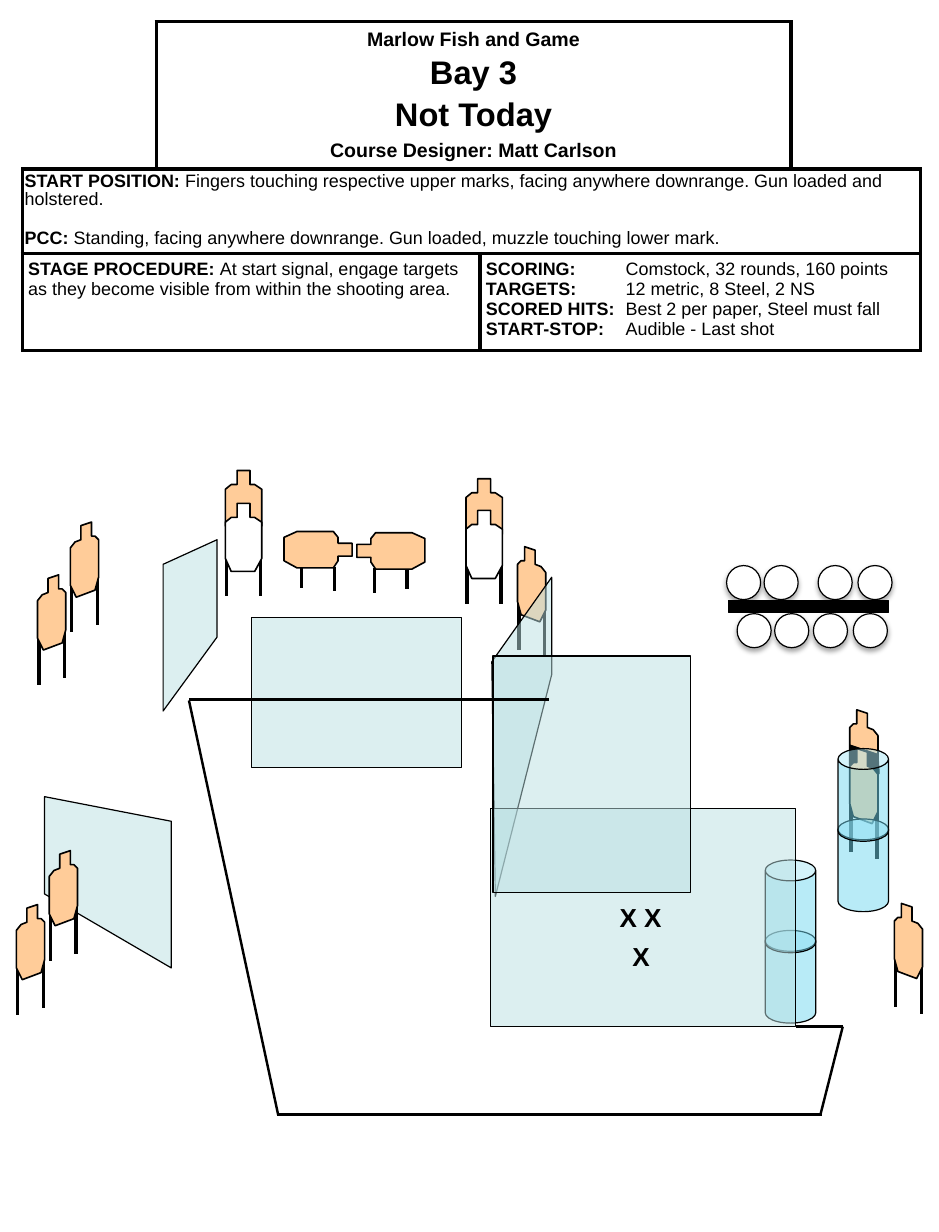
"""Build a one-page shooting stage sheet: header table above a floor plan."""
from lxml import etree
from pptx import Presentation
from pptx.dml.color import RGBColor
from pptx.enum.shapes import MSO_CONNECTOR, MSO_SHAPE
from pptx.enum.text import MSO_ANCHOR, PP_ALIGN
from pptx.oxml.ns import qn
from pptx.util import Inches, Pt

STRAIGHT = MSO_CONNECTOR.STRAIGHT
RECTANGLE, CAN, OVAL = MSO_SHAPE.RECTANGLE, MSO_SHAPE.CAN, MSO_SHAPE.OVAL
MIDDLE, TOP = MSO_ANCHOR.MIDDLE, MSO_ANCHOR.TOP
CENTER, LEFT = PP_ALIGN.CENTER, PP_ALIGN.LEFT
BLACK = RGBColor(0x00, 0x00, 0x00)
WHITE = RGBColor(0xFF, 0xFF, 0xFF)
TAN = RGBColor(0xFF, 0xCC, 0x99)
GLASS = RGBColor(0xBB, 0xE0, 0xE3)
BARREL = RGBColor(0x73, 0xD9, 0xF1)
FONT = "Arial"

deck = Presentation()
deck.slide_width, deck.slide_height = Inches(8), Inches(10.5)
COLUMN, ROW = deck.slide_width / 8, deck.slide_height / 10.5
page = deck.slides.add_slide(deck.slide_layouts[6])


def finish(shape, weight, fill=None, opacity=100):
    """Set line, fill and an empty effect list, which is returned."""
    shape.line.color.rgb = BLACK
    shape.line.width = Pt(weight)
    effects = etree.SubElement(shape._element.spPr, qn("a:effectLst"))
    if fill is not None:
        shape.fill.solid()
        shape.fill.fore_color.rgb = fill
        if opacity < 100:
            color = shape._element.spPr.find(qn("a:solidFill"))[0]
            etree.SubElement(color, qn("a:alpha"), val=str(opacity * 1000))
    return effects


def trace(points, weight, fill, opacity=100):
    """Draw a closed outline through grid points."""
    spots = [(round(x * COLUMN), round(y * ROW)) for x, y in points]
    builder = page.shapes.build_freeform(*spots[0])
    builder.add_line_segments(spots[1:], close=True)
    finish(builder.convert_to_shape(), weight, fill, opacity)


header = [
    (0, [("Marlow Fish and Game", 12)]), (3, [("Bay 3", 20)]),
    (3.5, [("Not Today", 20)]), (3.5, [("Course Designer: Matt Carlson", 12)]),
]
start = [
    (0, [("START POSITION:", True), (" Fingers touching respective upper marks, facing "
         "anywhere downrange. Gun loaded and holstered.", False)]),
    (12.5, [("PCC: ", True), ("Standing, facing anywhere downrange. Gun loaded, "
            "muzzle touching lower mark.", False)]),
]
procedure = [(0, [("STAGE PROCEDURE: ", True), ("At start signal, engage targets as they "
                  "become visible from within the shooting area.", False)])]
scoring = [(0, [(label + "\t", True), (value, False)]) for label, value in [
    ("SCORING:", "Comstock, 32 rounds, 160 points"),
    ("TARGETS:", "12 metric, 8 Steel, 2 NS"),
    ("SCORED HITS:", "Best 2 per paper, Steel must fall"),
    ("START-STOP:", "Audible - Last shot"),
]]

widths, heights = [1.14, 2.76, 2.65, 1.1], [1.26, 0.72, 0.83]
table = page.shapes.add_table(3, 4, round(0.19 * COLUMN), round(0.18 * ROW),
                              round(sum(widths) * COLUMN), round(sum(heights) * ROW)).table
table.first_row = table.horz_banding = False
for column, width in zip(table.columns, widths):
    column.width = round(width * COLUMN)
for row, height in zip(table.rows, heights):
    row.height = round(height * ROW)
borders = {(0, 0): ("lnR", "lnB"), (0, 3): ("lnL", "lnB")}
for row in range(3):
    for column in range(4):
        cell = table.cell(row, column)
        properties = cell._tc.get_or_add_tcPr()
        for side in borders.get((row, column), ("lnL", "lnR", "lnT", "lnB")):
            edge = etree.SubElement(properties, qn("a:" + side), w=str(Pt(2.25)))
            paint = etree.SubElement(edge, qn("a:solidFill"))
            etree.SubElement(paint, qn("a:srgbClr"), val=str(BLACK))
        cell.fill.solid()
        cell.fill.fore_color.rgb = WHITE

for row, first, last, side, edge, spacing, content in [
    (0, 1, 2, 0.05, 0.05, 1, header), (1, 0, 3, 0.02, 0.04, 0.9, start),
    (2, 0, 1, 0.05, 0.05, 1, procedure), (2, 2, 3, 0.05, 0.05, 1, scoring),
]:
    cell = table.cell(row, first)
    cell.merge(table.cell(row, last))
    cell.margin_left = cell.margin_right = round(side * COLUMN)
    cell.margin_top = cell.margin_bottom = round(edge * ROW)
    cell.vertical_anchor = MIDDLE if content is header else TOP
    for index, (before, spans) in enumerate(content):
        para = cell.text_frame.add_paragraph() if index else cell.text_frame.paragraphs[0]
        if content is scoring:
            tabs = etree.SubElement(para._p.get_or_add_pPr(), qn("a:tabLst"))
            etree.SubElement(tabs, qn("a:tab"), pos=str(round(1.19 * COLUMN)), algn="l")
        para.alignment = CENTER if content is header else LEFT
        para.line_spacing = spacing
        if before:
            para.space_before = Pt(before)
        for text, style in spans:
            span = para.add_run()
            span.text = text
            span.font.name = FONT
            span.font.size = Pt(style if content is header else 11)
            span.font.bold = content is header or style
            span.font.color.rgb = BLACK

trace([(0.38, 7.62), (1.46, 8.25), (1.46, 7), (0.38, 6.79)], 0.75, GLASS, 50)

front = [(0.1, 0), (0.21, 0), (0.21, 0.12), (0.25, 0.12), (0.31, 0.16), (0.31, 0.47),
         (0.25, 0.58), (0.05, 0.58), (0, 0.47), (0, 0.16), (0.05, 0.12), (0.1, 0.12)]
angled = [(0.15, 0.03), (0.06, 0), (0.06, 0.12), (0.03, 0.12), (0, 0.15), (0, 0.47),
          (0.03, 0.58), (0.19, 0.64), (0.24, 0.54), (0.24, 0.22), (0.2, 0.17), (0.15, 0.15)]
lying = [(0.58 - y, x) for x, y in front]
cover = [(0.25, 0.24), (0.18, 0.33), (0.04, 0.28), (0, 0.16), (0, 0), (0.24, 0.08)]
front_legs = [(0.01, 0.63, 1.07), (0.3, 0.63, 1.07)]
angled_legs = [(0.23, 0.51, 0.94), (0.01, 0.45, 0.88)]
lying_legs = [(0.15, 0.3, 0.48), (0.43, 0.3, 0.51)]
for left, top, outline, legs, mirrored, fill in [
    (4.41, 4.66, angled, angled_legs, False, TAN),
    (7.24, 6.05, angled, [], False, TAN),
    (7.24, 6.35, cover, [], False, BLACK),
    (7.24, 6.38, angled, angled_legs, False, TAN),
    (7.62, 7.7, angled, angled_legs, False, TAN),
    (0.42, 7.25, angled, angled_legs, True, TAN),
    (0.14, 7.71, angled, angled_legs, True, TAN),
    (0.6, 4.45, angled, angled_legs, True, TAN),
    (0.32, 4.9, angled, angled_legs, True, TAN),
    (1.92, 4.01, front, front_legs, False, TAN),
    (1.92, 4.29, front, [], False, WHITE),
    (3.97, 4.08, front, front_legs, False, TAN),
    (3.97, 4.35, front, [], False, WHITE),
    (2.42, 4.53, lying, lying_legs, False, TAN),
    (3.04, 4.54, lying, lying_legs, True, TAN),
]:
    origin, sign = (left + max(x for x, y in outline), -1) if mirrored else (left, 1)
    for x, upper, lower in legs:
        across = round((origin + sign * x) * COLUMN)
        leg = page.shapes.add_connector(STRAIGHT, across, round((top + upper) * ROW),
                                        across, round((top + lower) * ROW))
        finish(leg, 2.25)
    trace([(origin + sign * x, top + y) for x, y in outline], 0 if fill == BLACK else 1, fill)

trace([(4.7, 5.75), (4.22, 7.64), (4.19, 5.64), (4.7, 4.92)], 0.75, GLASS, 50)
trace([(1.85, 5.43), (1.39, 6.06), (1.39, 4.81), (1.85, 4.6)], 0.75, GLASS, 50)

barrels = [(CAN, x, y, 0.43, 0.79, BARREL, 50)
           for x, y in [(6.52, 7.93), (6.52, 7.33), (7.14, 6.98), (7.14, 6.38)]]
walls = [(RECTANGLE, *place, GLASS, 50) for place in
         [(4.18, 6.89, 2.6, 1.86), (4.2, 5.59, 1.68, 2.02), (2.14, 5.26, 1.79, 1.28)]]
plates = [(OVAL, x, y, 0.29, 0.29, WHITE, 100)
          for y, places in [(4.82, (6.19, 6.51, 6.97, 7.31)), (5.23, (6.28, 6.6, 6.93, 7.27))]
          for x in places]
rack = [(RECTANGLE, 6.21, 5.12, 1.36, 0.1, BLACK, 100)]
for kind, left, top, width, height, fill, opacity in barrels + walls + rack + plates:
    shape = page.shapes.add_shape(kind, round(left * COLUMN), round(top * ROW),
                                  round(width * COLUMN), round(height * ROW))
    effects = finish(shape, 0.75, fill, opacity)
    if kind == CAN:
        shape.adjustments[0] = 0.413
    if kind == OVAL:
        shadow = etree.SubElement(effects, qn("a:outerShdw"), blurRad=str(Pt(3.1)),
                                  dist=str(Pt(1.8)), dir="5400000", rotWithShape="0")
        color = etree.SubElement(shadow, qn("a:srgbClr"), val=str(BLACK))
        etree.SubElement(color, qn("a:alpha"), val="35000")

for x1, y1, x2, y2 in [
    (2.36, 9.5, 7, 9.5), (1.61, 5.96, 4.68, 5.96), (1.61, 5.97, 2.37, 9.5),
    (6.78, 8.75, 7.18, 8.75), (6.99, 9.5, 7.18, 8.75),
]:
    fault_line = page.shapes.add_connector(STRAIGHT, round(x1 * COLUMN), round(y1 * ROW),
                                           round(x2 * COLUMN), round(y2 * ROW))
    finish(fault_line, 1.5)

for text, left, top, width in [("X X", 5.18, 7.63, 0.58), ("X", 5.29, 7.97, 0.4)]:
    box = page.shapes.add_textbox(round(left * COLUMN), round(top * ROW),
                                  round(width * COLUMN), round(0.37 * ROW))
    box.text_frame.word_wrap = True
    span = box.text_frame.paragraphs[0].add_run()
    span.text = text
    span.font.name, span.font.size, span.font.bold = FONT, Pt(16), True
    span.font.color.rgb = BLACK

deck.save("out.pptx")
